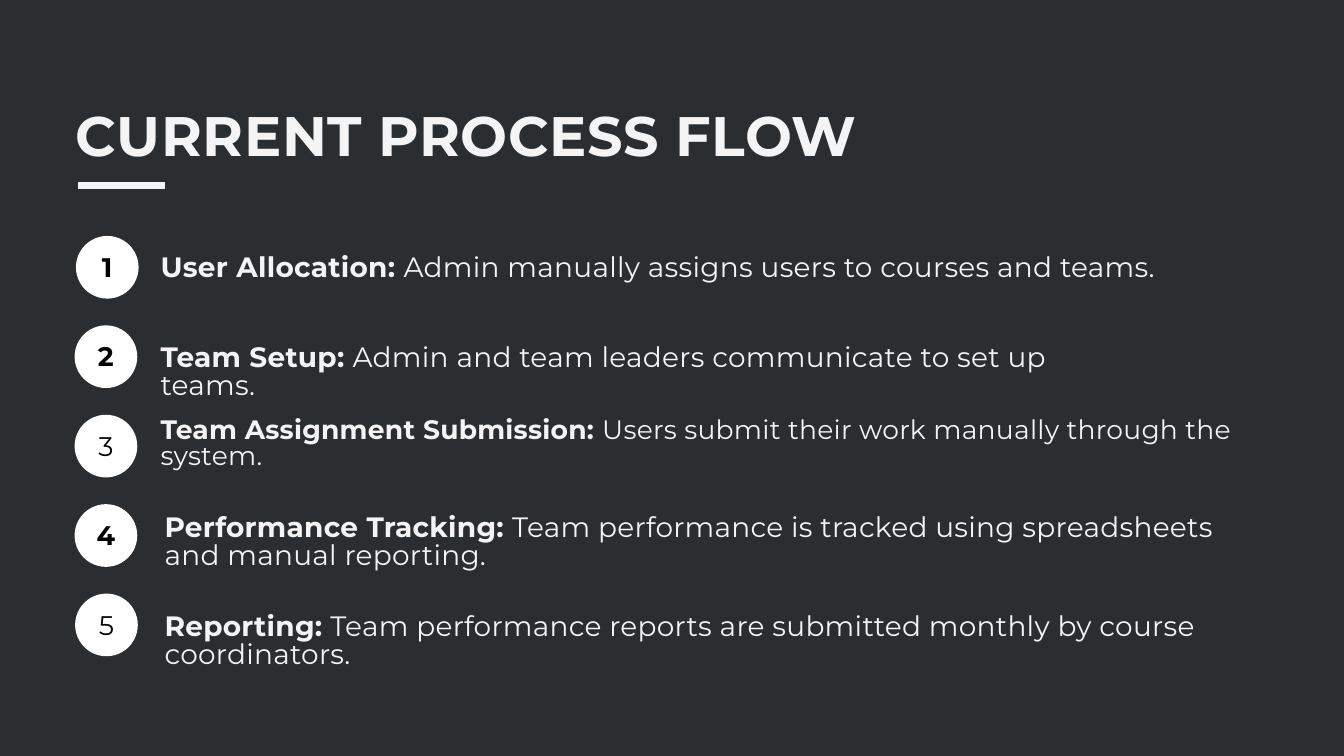
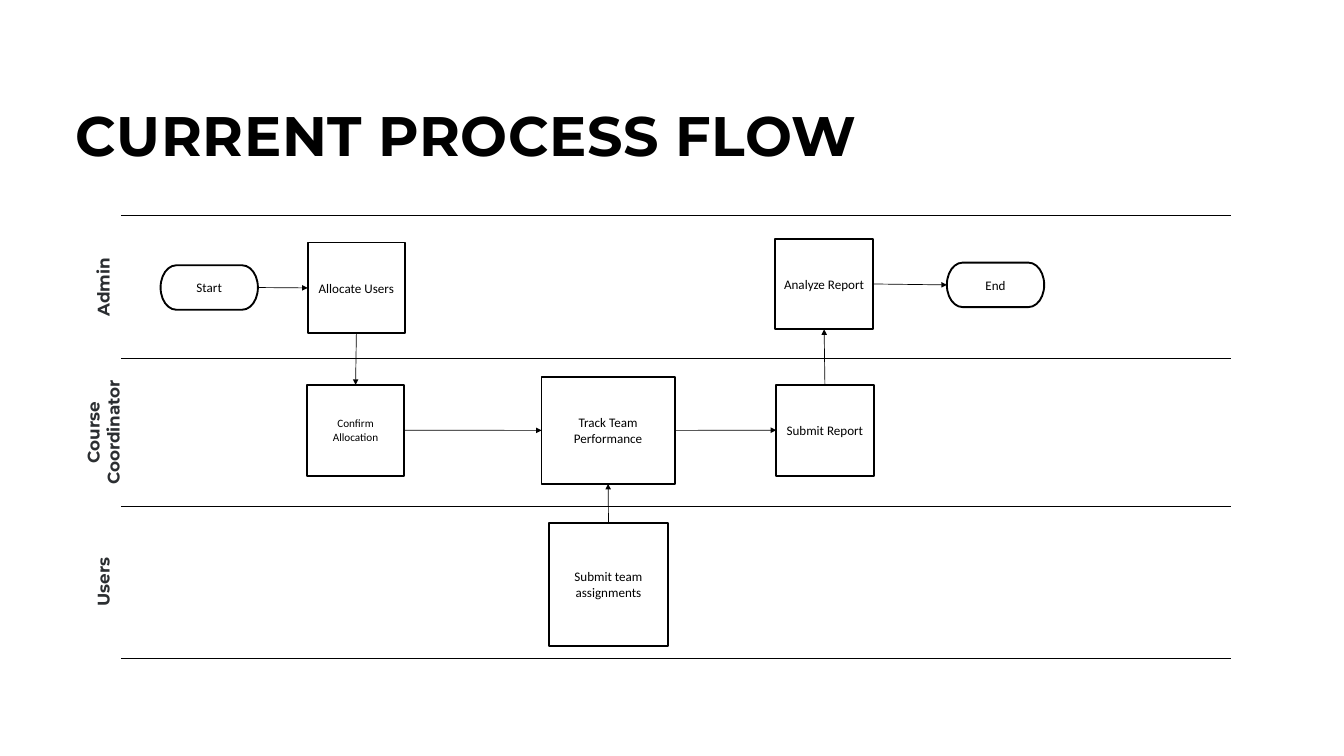
from lxml import etree
from pptx import Presentation
from pptx.dml.color import RGBColor
from pptx.enum.shapes import MSO_CONNECTOR, MSO_SHAPE
from pptx.enum.text import MSO_ANCHOR, MSO_AUTO_SIZE, PP_ALIGN
from pptx.oxml.ns import qn
from pptx.util import Cm, Pt

CHARCOAL = RGBColor(0x2B, 0x2E, 0x31)
OFF_WHITE = RGBColor(0xF4, 0xF4, 0xF4)
WHITE = RGBColor(0xFF, 0xFF, 0xFF)
BLACK = RGBColor(0x00, 0x00, 0x00)
DISPLAY = "Montserrat"
PLAIN = "Calibri"
TOP, LEFT, BOTTOM, RIGHT = range(4)


class Deck:
    def __init__(self):
        self.prs = Presentation()
        self.prs.slide_width = Cm(50.8)
        self.prs.slide_height = Cm(28.58)
        self.slide = None

    def add_slide(self, title, background, color):
        self.slide = self.prs.slides.add_slide(self.prs.slide_layouts[5])
        fill = self.slide.background.fill
        fill.solid()
        fill.fore_color.rgb = background
        sp = self.slide.shapes.title
        sp.left, sp.top, sp.width, sp.height = Cm(2.87), Cm(4.24), Cm(30.89), Cm(2.21)
        self.frame(sp, MSO_ANCHOR.TOP, (0, 0, 0, 0))
        self.add_runs(sp, [(title, True)], 59.6, color, spacing=0.6, exact=True)

    def frame(self, sp, anchor, margins):
        tf = sp.text_frame
        tf.word_wrap = True
        tf.auto_size = MSO_AUTO_SIZE.NONE
        tf.vertical_anchor = anchor
        tf.margin_left, tf.margin_top, tf.margin_right, tf.margin_bottom = map(Cm, margins)

    def add_runs(self, sp, parts, size, color, font=DISPLAY, align=PP_ALIGN.LEFT,
                 spacing=0, exact=False):
        p = sp.text_frame.paragraphs[0]
        p.alignment = align
        if exact:
            p.line_spacing = Pt(size)
        for text, bold in parts:
            r = p.add_run()
            r.text = text
            r.font.name = font
            r.font.size = Pt(size)
            r.font.bold = bold
            r.font.color.rgb = color
            if spacing:
                r._r.get_or_add_rPr().set("spc", str(round(spacing * 100)))

    def text(self, box, parts, size, color):
        sp = self.slide.shapes.add_textbox(*map(Cm, box))
        self.frame(sp, MSO_ANCHOR.TOP, (0, 0, 0, 0))
        self.add_runs(sp, parts, size, color, spacing=0.3, exact=True)

    def shape(self, kind, box, fill, outline=None):
        sp = self.slide.shapes.add_shape(kind, *map(Cm, box))
        sp.shadow.inherit = False
        sp.fill.solid()
        sp.fill.fore_color.rgb = fill
        if outline is None:
            sp.line.fill.background()
        else:
            sp.line.color.rgb = outline
            sp.line.width = Pt(2)
        return sp

    def badge(self, left, top, number, bold):
        sp = self.shape(MSO_SHAPE.OVAL, (left, top, 2.37, 2.37), WHITE)
        self.frame(sp, MSO_ANCHOR.MIDDLE, (0, 0.17, 0, 0))
        self.add_runs(sp, [(str(number), bold)], 28.8, BLACK, align=PP_ALIGN.CENTER,
                      spacing=0.3, exact=True)

    def node(self, kind, box, label, size):
        sp = self.shape(kind, box, WHITE, BLACK)
        self.frame(sp, MSO_ANCHOR.MIDDLE, (0.25, 0.13, 0.25, 0.13))
        self.add_runs(sp, [(label, False)], size, BLACK, PLAIN, PP_ALIGN.CENTER)
        return sp

    def lane_label(self, center_x, center_y, height, label):
        width = 5.56
        sp = self.slide.shapes.add_textbox(
            Cm(center_x - width / 2), Cm(center_y - height / 2), Cm(width), Cm(height))
        sp.rotation = 270
        self.frame(sp, MSO_ANCHOR.MIDDLE, (0.25, 0.13, 0.25, 0.13))
        self.add_runs(sp, [(label, True)], 18, CHARCOAL, align=PP_ALIGN.CENTER)

    def line(self, x1, y1, x2, y2, color=BLACK, width=0.75):
        cxn = self.slide.shapes.add_connector(
            MSO_CONNECTOR.STRAIGHT, Cm(x1), Cm(y1), Cm(x2), Cm(y2))
        cxn.line.color.rgb = color
        cxn.line.width = Pt(width)
        etree.SubElement(cxn._element.spPr, qn("a:effectLst"))
        return cxn

    def arrow(self, source, source_side, target, target_side):
        cxn = self.line(0, 0, 1, 1)
        cxn.begin_connect(source, source_side)
        cxn.end_connect(target, target_side)
        ln = cxn._element.spPr.find(qn("a:ln"))
        etree.SubElement(ln, qn("a:tailEnd"), type="triangle")


def build_steps(deck):
    deck.add_slide("CURRENT PROCESS FLOW", CHARCOAL, OFF_WHITE)
    deck.line(2.95, 7.01, 6.22, 7.01, OFF_WHITE, 8.25)
    steps = [
        (2.87, True, (6.07, 9.65, 39.45, 1.07), 30, "User Allocation:",
         " Admin manually assigns users to courses and teams."),
        (2.82, True, (6.07, 13.03, 37.36, 1.09), 30, "Team Setup:",
         " Admin and team leaders communicate to set up teams."),
        (2.82, False, (6.07, 15.8, 41.73, 2.08), 28.5, "Team Assignment Submission:",
         " Users submit their work manually through the system."),
        (2.82, True, (6.22, 19.46, 41.73, 2.11), 30, "Performance Tracking:",
         " Team performance is tracked using spreadsheets and manual reporting."),
        (2.84, False, (6.22, 23.22, 41.58, 2.18), 30, "Reporting:",
         " Team performance reports are submitted monthly by course coordinators."),
    ]
    for i, (left, bold, box, size, name, detail) in enumerate(steps):
        deck.badge(left, 8.92 + 3.38 * i, i + 1, bold)
        deck.text(box, [(name, True), (detail, False)], size, OFF_WHITE)


def build_swimlanes(deck):
    deck.add_slide("CURRENT PROCESS FLOW", WHITE, BLACK)
    borders = [8.15, 13.56, 19.13, 24.87]
    for y in borders:
        deck.line(4.57, y, 46.53, y)
    lanes = [("Admin", 1.02), ("Course Coordinator", 2.24), ("Users", 1.02)]
    for (label, height), top, bottom in zip(lanes, borders, borders[1:]):
        deck.lane_label(3.89, (top + bottom) / 2, height, label)

    terminator, process = MSO_SHAPE.FLOWCHART_TERMINATOR, MSO_SHAPE.FLOWCHART_PROCESS
    nodes = [
        (terminator, (6.07, 10.03, 3.68, 1.68), "Start", 14),
        (process, (11.63, 9.17, 3.68, 3.43), "Allocate Users", 14),
        (process, (11.61, 14.55, 3.66, 3.43), "Confirm Allocation", 12),
        (process, (20.47, 14.25, 5.03, 4.04), "Track Team Performance", 14),
        (process, (29.34, 14.55, 3.68, 3.43), "Submit Report", 14),
        (terminator, (35.79, 9.93, 3.68, 1.68), "End", 14),
        (process, (20.75, 19.76, 4.5, 4.65), "Submit team assignments", 14),
        (process, (29.31, 9.02, 3.68, 3.43), "Analyze Report", 14),
    ]
    start, allocate, confirm, track, submit, end, assignments, analyze = [
        deck.node(*node) for node in nodes]
    for link in [
        (start, RIGHT, allocate, LEFT),
        (allocate, BOTTOM, confirm, TOP),
        (confirm, RIGHT, track, LEFT),
        (assignments, TOP, track, BOTTOM),
        (track, RIGHT, submit, LEFT),
        (submit, TOP, analyze, BOTTOM),
        (analyze, RIGHT, end, LEFT),
    ]:
        deck.arrow(*link)


def main():
    deck = Deck()
    build_steps(deck)
    build_swimlanes(deck)
    deck.prs.save("out.pptx")


if __name__ == "__main__":
    main()
